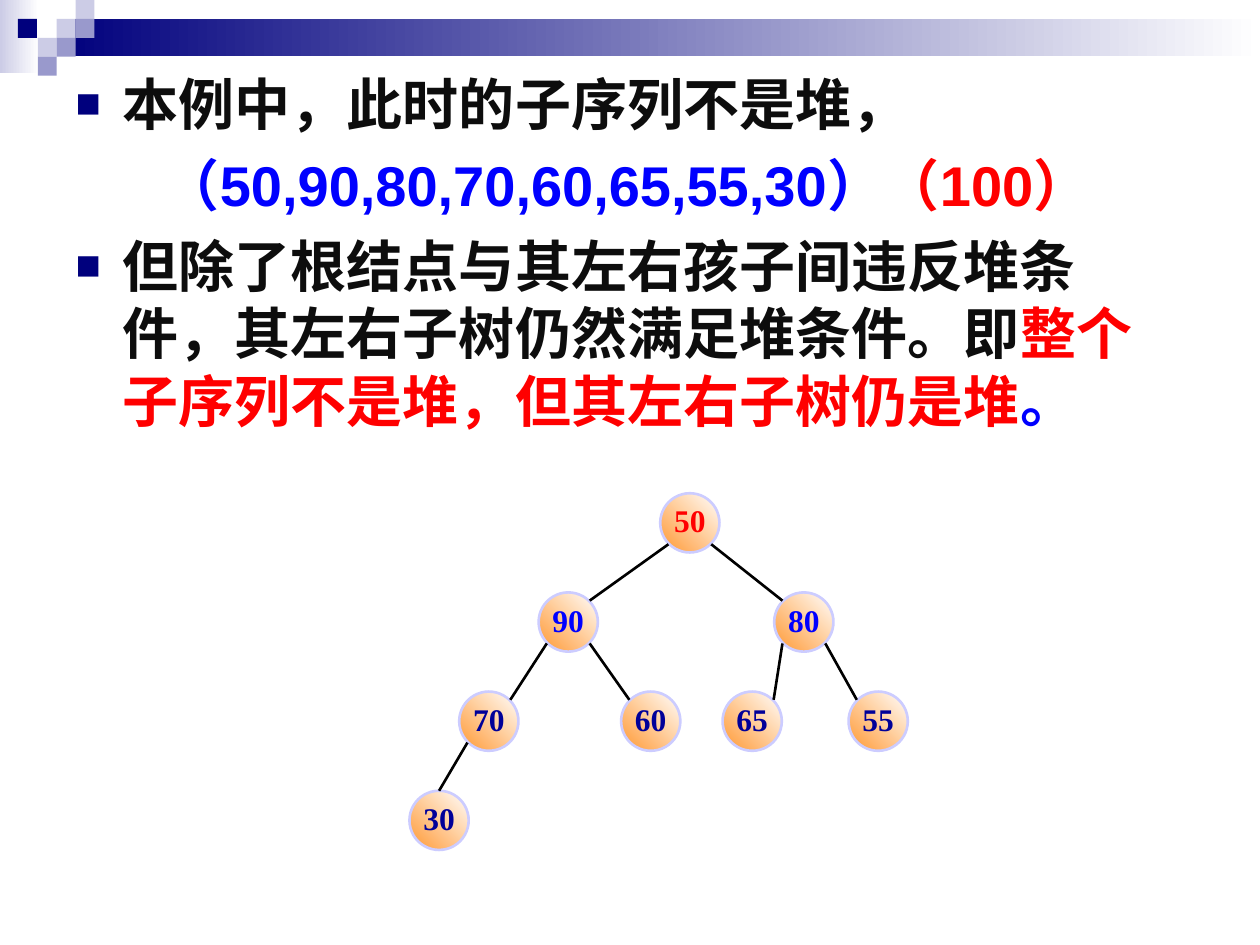
"""Build a slide on a heap whose root breaks the heap condition, with its tree."""
from lxml.etree import SubElement
from pptx import Presentation
from pptx.dml.color import RGBColor
from pptx.enum.shapes import MSO_CONNECTOR, MSO_SHAPE
from pptx.enum.text import MSO_ANCHOR, MSO_AUTO_SIZE, PP_ALIGN
from pptx.oxml.ns import qn
from pptx.util import Inches, Pt

C = {"navy": "00007D", "lilac": "CCCCE6", "violet": "9999CC", "white": "FFFFFF",
     "ink": "0D0D0D", "blue": "0000FF", "red": "FF0000", "deep": "000099",
     "orange": "FF9933", "rim": "CCCCFF", "black": "000000"}


def rgb(name):
    return RGBColor.from_string(C[name])


def add_filled(kind, x, y, w, h, colors, angle=0):
    sp = s.shapes.add_shape(kind, int(x * U), int(y * U), int(w * U), int(h * U))
    sp.shadow.inherit = False
    sp.line.fill.background()
    if len(colors) == 1:
        sp.fill.solid()
        sp.fill.fore_color.rgb = rgb(colors[0])
    else:
        sp.fill.gradient()
        sp.fill.gradient_angle = angle
        for stop, name in zip(sp.fill.gradient_stops, colors):
            stop.color.rgb = rgb(name)
    return sp


prs = Presentation()
prs.slide_width, prs.slide_height = Inches(10), Inches(7.5)
U = prs.slide_width / 100
s = prs.slides.add_slide(prs.slide_layouts[1])
title = s.shapes.title
title.element.getparent().remove(title.element)

add_filled(MSO_SHAPE.RECTANGLE, 0, 0, 3.1, 5.8, ["lilac", "white"])
add_filled(MSO_SHAPE.RECTANGLE, 4.5, 1.5, 95.5, 2.95, ["navy", "white"])
tiles = [(3, 1, "lilac"), (4, 0, "lilac"), (4, 1, "violet"), (2, 2, "lilac"),
         (0.95, 1, "navy"), (3, 2, "violet"), (2, 3, "violet")]
for col, row, name in tiles:
    add_filled(MSO_SHAPE.RECTANGLE, col * 1.5, row * 1.5, 1.5, 1.5, [name])

body = s.placeholders[1]
frame = {"left": 5, "top": 5, "width": 90, "height": 70}
for key, val in frame.items():
    setattr(body, key, int(val * U))
tf = body.text_frame
tf.auto_size = MSO_AUTO_SIZE.NONE
tf.vertical_anchor = MSO_ANCHOR.TOP
paras = [
    (True, [("本例中，此时的子序列不是堆，", "ink")]),
    (False, [("（50,90,80,70,60,65,55,30）", "blue"), ("（100）", "red")]),
    (True, [("但除了根结点与其左右孩子间违反堆条件，其左右子树仍然满足堆条件。即", "ink"),
            ("整个子序列不是堆，但其左右子树仍是堆", "red"), ("。", "blue")]),
]
for i, (bullet, runs) in enumerate(paras):
    p = tf.paragraphs[0] if i == 0 else tf.add_paragraph()
    pPr = p._p.get_or_add_pPr()
    pPr.set("marL", str(int((3.75 if bullet else 7) * U)))
    pPr.set("indent", str(int((-3.75 if bullet else 0) * U)))
    pPr.set("hangingPunct", "0")
    if bullet:
        SubElement(SubElement(pPr, qn("a:buClr")), qn("a:srgbClr"), val=C["navy"])
        SubElement(pPr, qn("a:buSzPct"), val="75000")
        SubElement(pPr, qn("a:buChar"), char="■")
    else:
        SubElement(pPr, qn("a:buNone"))
    p.space_before = Pt(8 if i else 0)
    for text, name in runs:
        r = p.add_run()
        r.text = text
        for key, val in {"size": Pt(32), "name": "Arial", "bold": True}.items():
            setattr(r.font, key, val)
        r.font.color.rgb = rgb(name)

size, top, step, corner = 4.7, 41.5, 7.87, 1.7
nodes = {"50": (54.75, 0, "red"), "90": (45.1, 1, "blue"), "80": (63.8, 1, "blue"),
         "70": (38.8, 2, "deep"), "60": (51.65, 2, "deep"), "65": (59.7, 2, "deep"),
         "55": (69.7, 2, "deep"), "30": (34.85, 3, "deep")}
insets = {"margin_left": 1.2, "margin_right": 1.2, "margin_top": 0.1, "margin_bottom": 0.5}
for label, (x, level, name) in nodes.items():
    y = top + level * step
    sp = add_filled(MSO_SHAPE.OVAL, x - size / 2, y - size / 2, size, size,
                    ["orange", "white"], 45)
    sp.line.color.rgb = rgb("rim")
    sp.line.width = Pt(1.5)
    tf = sp.text_frame
    tf.word_wrap = False
    tf.vertical_anchor = MSO_ANCHOR.MIDDLE
    for key, val in insets.items():
        setattr(tf, key, int(val * U))
    p = tf.paragraphs[0]
    p.alignment = PP_ALIGN.CENTER
    r = p.add_run()
    r.text = label
    for key, val in {"size": Pt(18), "name": "Times New Roman", "bold": True}.items():
        setattr(r.font, key, val)
    r.font.color.rgb = rgb(name)

edges = [("50", "90", -1, 1), ("50", "80", 1, -1), ("90", "70", -1, 1), ("90", "60", 1, -1),
         ("80", "65", -1, 1), ("80", "55", 1, -1), ("70", "30", -1, 0)]
for parent, child, out, into in edges:
    (px, pl, _), (cx, cl, _) = nodes[parent], nodes[child]
    ends = (px + out * corner, top + pl * step + corner,
            cx + into * corner, top + cl * step - (corner if into else size / 2))
    ln = s.shapes.add_connector(MSO_CONNECTOR.STRAIGHT, *(int(v * U) for v in ends))
    ln.line.color.rgb = rgb("black")
    ln.line.width = Pt(1.5)
    SubElement(ln._element.spPr, qn("a:effectLst"))

prs.save("out.pptx")
